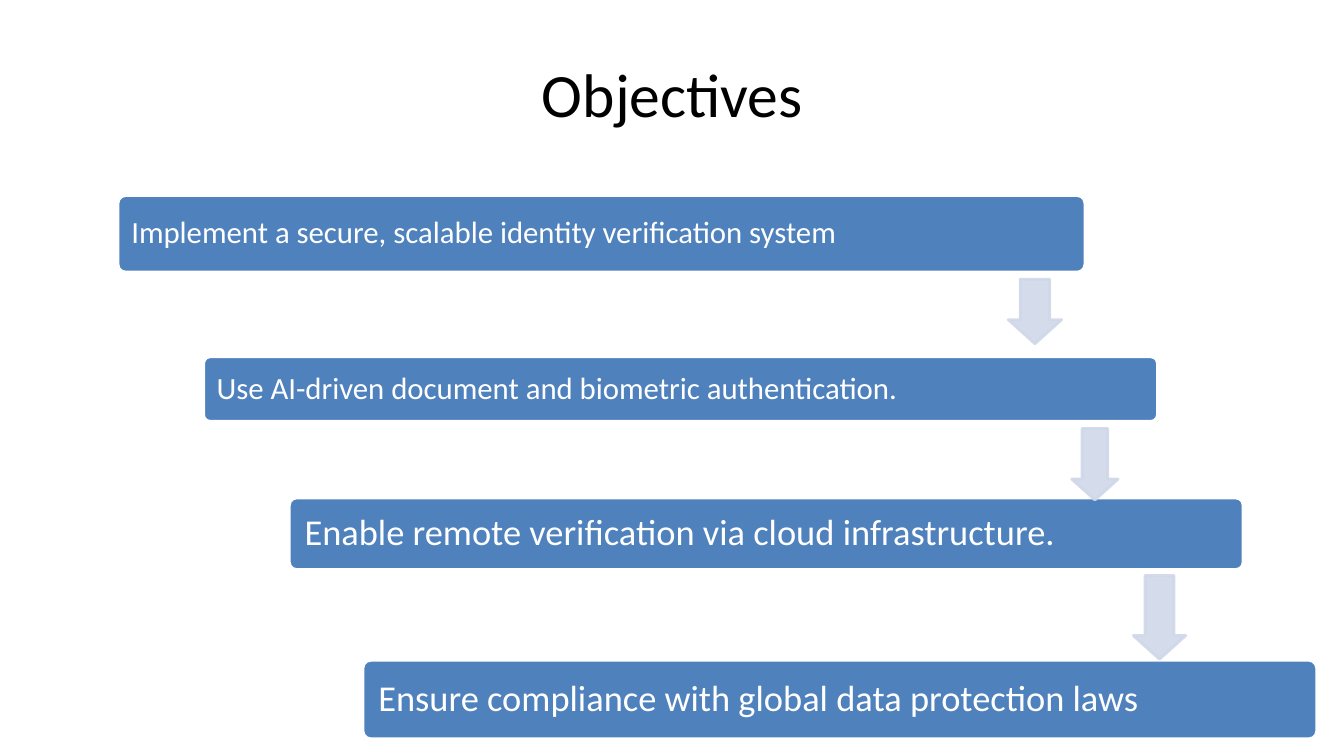
import pptx
import pptx.util
import pptx.dml.color
import pptx.enum.shapes
import pptx.enum.text
import pptx.oxml
import pptx.oxml.ns

Inches, Pt = pptx.util.Inches, pptx.util.Pt
SHAPES = pptx.enum.shapes.MSO_SHAPE
ALIGN = pptx.enum.text.PP_ALIGN
COLORS = {"step": "4F81BD", "arrow": "D0D8E8", "white": "FFFFFF", "title": "000000"}


def add_outlined_shape(page, kind, bounds, fill, line, adjustments):
    shape = page.shapes.add_shape(kind, *(Inches(value) for value in bounds))
    shape.shadow.inherit = False
    shape.fill.solid()
    shape.fill.fore_color.rgb = pptx.dml.color.RGBColor.from_string(COLORS[fill])
    shape.line.color.rgb = pptx.dml.color.RGBColor.from_string(COLORS[line])
    shape.line.width = Pt(2)
    for index, value in enumerate(adjustments):
        shape.adjustments[index] = value
    return shape


def write_text(shape, text, size, color, align, inset):
    """Fill the shape with one vertically centred paragraph."""
    frame = shape.text_frame
    frame.word_wrap = True
    frame.vertical_anchor = pptx.enum.text.MSO_ANCHOR.MIDDLE
    frame.margin_left = frame.margin_right = Inches(inset)
    para = frame.paragraphs[0]
    para.text = text
    para.alignment = align
    para.font.name = "Calibri"
    para.font.size = Pt(size)
    para.font.color.rgb = pptx.dml.color.RGBColor.from_string(COLORS[color])
    return para


deck = pptx.Presentation()
deck.slide_width, deck.slide_height = Inches(13.33), Inches(7.5)
page = deck.slides.add_slide(deck.slide_layouts[6])

title = page.shapes.add_textbox(Inches(0.67), Inches(0.3), Inches(12), Inches(1.25))
write_text(title, "Objectives", 44, "title", ALIGN.CENTER, 0.1)

# Bounds (left, top, width, height), font size, side inset, wording
steps = [
    ((1.17, 1.94, 9.59, 0.76), 22, 0.11, "Implement a secure, scalable identity verification system"),
    ((2.02, 3.54, 9.46, 0.64), 22, 0.11, "Use AI-driven document and biometric authentication."),
    ((2.87, 4.94, 9.46, 0.71), 26, 0.13, "Enable remote verification via cloud infrastructure."),
    ((3.6, 6.55, 9.46, 0.78), 26, 0.13, "Ensure compliance with global data protection laws"),
]
for bounds, size, inset, text in steps:
    step = add_outlined_shape(page, SHAPES.ROUNDED_RECTANGLE, bounds, "step", "white", [0.1])
    para = write_text(step, text, size, "white", ALIGN.LEFT, inset)
    para.line_spacing = 0.9

arrows = [(10, 2.77, 0.53, 0.64), (10.63, 4.25, 0.46, 0.71), (11.24, 5.71, 0.52, 0.83)]
for bounds in arrows:
    arrow = add_outlined_shape(page, SHAPES.DOWN_ARROW, bounds, "arrow", "arrow", [0.55, 0.45])
    # 90% opacity on both fill and outline
    for color in arrow.element.spPr.iter(pptx.oxml.ns.qn("a:srgbClr")):
        alpha = pptx.oxml.parse_xml(f'<a:alpha {pptx.oxml.ns.nsdecls("a")} val="90000"/>')
        color.append(alpha)

deck.save("out.pptx")
